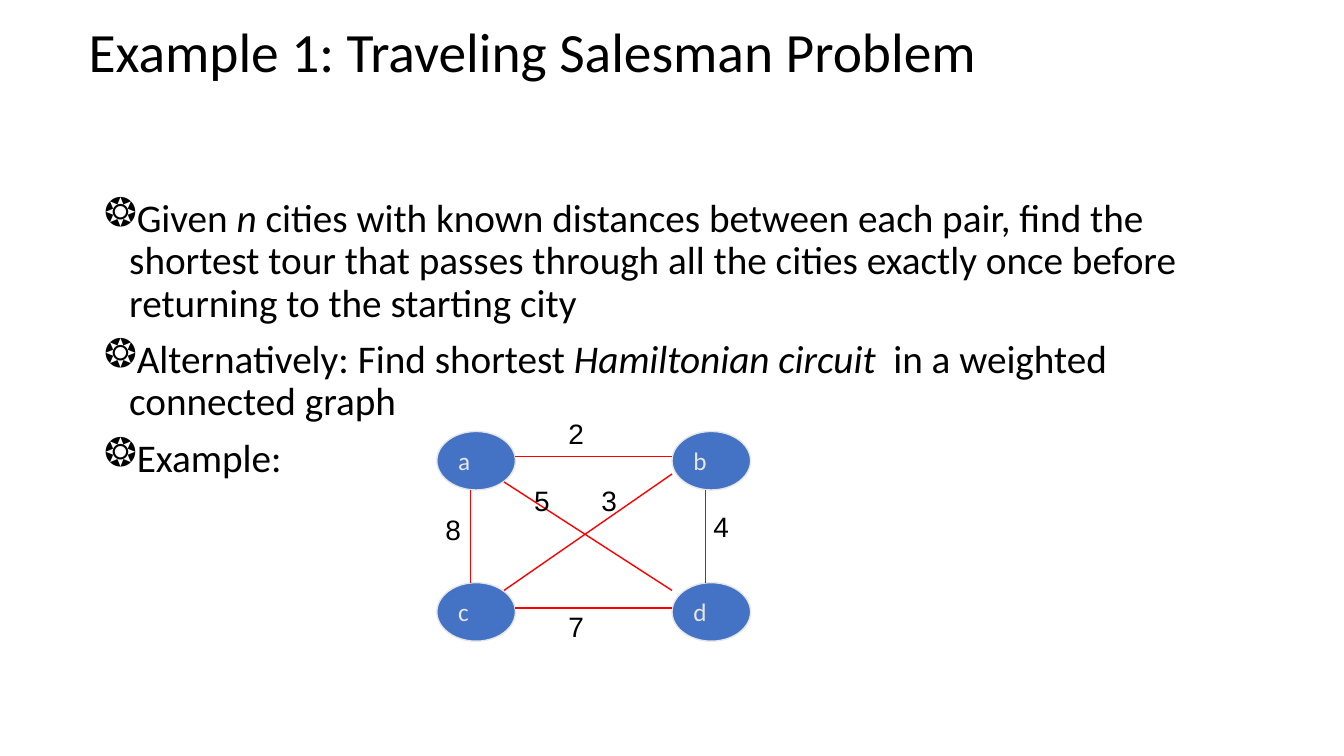
from lxml.etree import SubElement
from pptx import Presentation
from pptx.dml.color import RGBColor
from pptx.enum.shapes import MSO_CONNECTOR, MSO_SHAPE
from pptx.enum.text import MSO_ANCHOR, PP_ALIGN
from pptx.oxml.ns import qn
from pptx.util import Inches, Pt

WIDTH, HEIGHT = Inches(13.33), Inches(7.5)
BLACK, RED, BLUE, PALE = "000000", "FF0000", "4472C4", "E7E6E6"
BULLET = "❂"

# All places and sizes are hundredths of the slide's width and height.
NODE_SIZE = (5.85, 7.75)
LABEL_SIZE = (2.7, 5.9)
COLUMNS = (32.5, 50)
ROWS = (57.07, 77.07)
NODES = (("a", "b"), ("c", "d"))

TITLE = "Example 1: Traveling Salesman Problem"
# Each paragraph is a list of (text, italic) spans.
POINTS = [
    [("Given ", False), ("n", True),
     (" cities with known distances between each pair, find the shortest tour "
      "that passes through all the cities exactly once before returning to "
      "the starting city", False)],
    [("Alternatively: Find shortest ", False), ("Hamiltonian circuit", True),
     ("  in a weighted connected graph", False)],
    [("Example:", False)],
]

# Weight, label place, edge start, edge end
EDGES = [
    ("2", (41.55, 54.4), (38.35, 60.4), (50, 60.4)),
    ("8", (32.4, 67.2), (35, 64.8), (35, 77.07)),
    ("7", (41.55, 80), (38.35, 80.4), (50, 80.4)),
    ("4", (52.35, 66.7), (52.5, 64.8), (52.5, 77.07)),
    ("5", (39, 63.3), (37.5, 63.75), (50, 78.1)),
    ("3", (44, 63.3), (50, 62.7), (37.5, 78.1)),
]


def color(value):
    return RGBColor.from_string(value)


def share(pair):
    return int(WIDTH * pair[0] / 100), int(HEIGHT * pair[1] / 100)


def apply_format(target, values):
    for name, value in values.items():
        setattr(target, name, value)


def add_span(para, text, size, font="Calibri", fill=BLACK, italic=False):
    span = para.add_run()
    span.text = text
    apply_format(span.font, {"size": Pt(size), "name": font, "italic": italic})
    span.font.color.rgb = color(fill)


def add_box(page, place, size, **frame_format):
    box = page.shapes.add_textbox(*share(place), *share(size))
    apply_format(box.text_frame, {"word_wrap": True, **frame_format})
    return box.text_frame


def add_bullet(para):
    properties = para._p.get_or_add_pPr()
    properties.set("marL", str(Inches(0.25)))
    properties.set("indent", str(-Inches(0.25)))
    SubElement(properties, qn("a:buChar")).set("char", BULLET)


def add_points(page):
    frame = add_box(page, (7, 25.6), (86.25, 63.5))
    for index, spans in enumerate(POINTS):
        para = frame.add_paragraph() if index else frame.paragraphs[0]
        add_bullet(para)
        apply_format(para, {"line_spacing": 0.9,
                            "space_before": Pt(10 if index else 0)})
        for text, italic in spans:
            add_span(para, text, 28, italic=italic)


def add_node(page, name, place):
    node = page.shapes.add_shape(MSO_SHAPE.OVAL, *share(place), *share(NODE_SIZE))
    node.shadow.inherit = False
    node.fill.solid()
    node.fill.fore_color.rgb = color(BLUE)
    node.line.color.rgb = color(PALE)
    node.line.width = Pt(1)
    apply_format(node.text_frame, {"word_wrap": False,
                                   "vertical_anchor": MSO_ANCHOR.MIDDLE})
    para = node.text_frame.paragraphs[0]
    para.alignment = PP_ALIGN.LEFT
    add_span(para, name, 18, fill=PALE)


def add_edge(page, start, end):
    edge = page.shapes.add_connector(MSO_CONNECTOR.STRAIGHT, *share(start), *share(end))
    edge.line.color.rgb = color(RED)
    edge.line.width = Pt(1)
    SubElement(edge._element.spPr, qn("a:effectLst"))


def add_weight(page, text, place):
    frame = add_box(page, place, LABEL_SIZE, word_wrap=False)
    add_span(frame.paragraphs[0], text, 20, font="Arial")


def main():
    deck = Presentation()
    apply_format(deck, {"slide_width": WIDTH, "slide_height": HEIGHT})
    page = deck.slides.add_slide(deck.slide_layouts[6])

    # Title and bullet points
    title = add_box(page, (5.85, 2.27), (94.15, 10),
                    vertical_anchor=MSO_ANCHOR.MIDDLE).paragraphs[0]
    title.line_spacing = 0.9
    add_span(title, TITLE, 39.6)
    add_points(page)

    # Weighted graph: cities, roads, distances
    for top, names in zip(ROWS, NODES):
        for left, name in zip(COLUMNS, names):
            add_node(page, name, (left, top))
    for _, _, start, end in EDGES:
        add_edge(page, start, end)
    for weight, place, _, _ in EDGES:
        add_weight(page, weight, place)

    deck.save("out.pptx")


if __name__ == "__main__":
    main()
